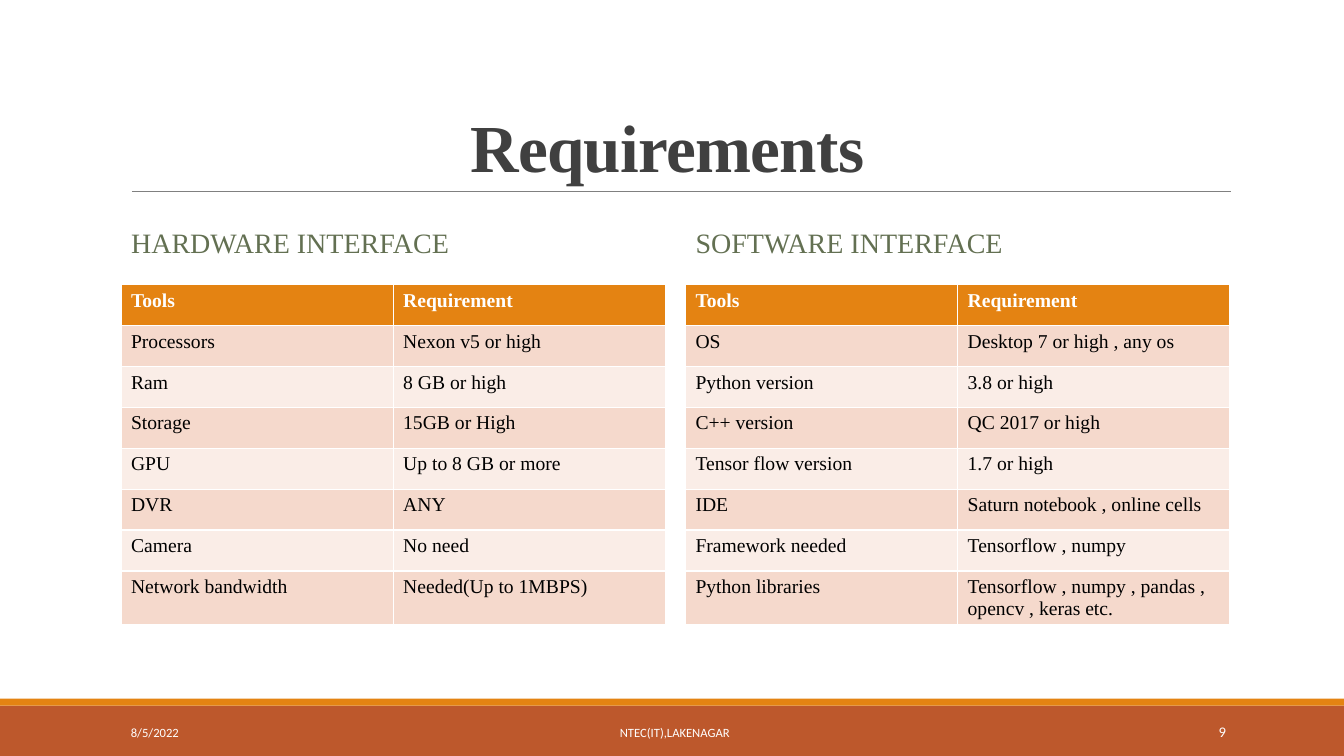
from dataclasses import dataclass

from lxml import etree
from pptx import Presentation
from pptx.dml.color import RGBColor
from pptx.enum.shapes import MSO_CONNECTOR, MSO_SHAPE
from pptx.enum.text import MSO_ANCHOR, MSO_AUTO_SIZE, PP_ALIGN
from pptx.oxml.ns import qn
from pptx.util import Pt


@dataclass(frozen=True)
class Theme:
    serif: str = "Times New Roman"
    sans: str = "Calibri"
    title: str = "404040"
    heading: str = "637052"
    orange: str = "E48312"
    rust: str = "BD582C"
    rule: str = "808080"
    white: str = "FFFFFF"
    black: str = "000000"
    bands: tuple = ("F5D9CC", "FAEDE7")
    title_size: float = 48
    heading_size: float = 20
    table_size: float = 14
    footer_size: float = 9
    number_size: float = 10.5


T = Theme()
WIDTH, HEIGHT = 960, 540
LEFT, COLUMN_W, COLUMN_STEP = 86.4, 388.8, 403.2
HEADING_TOP, HEADING_H = 145.2, 58.2
TABLE_TOP, ROW_H, LAST_ROW_H = 203.4, 29.2, 38.4
FOOTER_TOP, FOOTER_H = 508.5, 28.8

HARDWARE = [
    ("Tools", "Requirement"),
    ("Processors", "Nexon v5 or high"),
    ("Ram", "8 GB or high"),
    ("Storage", "15GB or High"),
    ("GPU", "Up to 8 GB or more"),
    ("DVR", "ANY"),
    ("Camera", "No need"),
    ("Network bandwidth", "Needed(Up to 1MBPS)"),
]
SOFTWARE = [
    ("Tools", "Requirement"),
    ("OS", "Desktop 7 or high , any os"),
    ("Python version", "3.8 or high"),
    ("C++ version", "QC 2017 or high"),
    ("Tensor flow version", "1.7 or high"),
    ("IDE", "Saturn notebook , online cells"),
    ("Framework needed", "Tensorflow , numpy"),
    ("Python libraries", "Tensorflow , numpy , pandas , opencv , keras etc."),
]


def rgb(color):
    return RGBColor.from_string(color)


def place(sp, left, top, width, height):
    sp.left, sp.top, sp.width, sp.height = Pt(left), Pt(top), Pt(width), Pt(height)


def write(tf, text, font, size, color, bold=False, align=PP_ALIGN.LEFT):
    tf.text = text
    p = tf.paragraphs[0]
    p.alignment = align
    p.font.name, p.font.size, p.font.bold = font, Pt(size), bold
    p.font.color.rgb = rgb(color)
    return p


def set_frame(tf, anchor):
    tf.word_wrap = True
    tf.auto_size = MSO_AUTO_SIZE.NONE
    tf.vertical_anchor = anchor


def add_band(s, top, height, color):
    sp = s.shapes.add_shape(MSO_SHAPE.RECTANGLE, 0, Pt(top), Pt(WIDTH), Pt(height))
    sp.shadow.inherit = False
    sp.fill.solid()
    sp.fill.fore_color.rgb = rgb(color)
    sp.line.fill.background()


def add_rule(s, left, right, y):
    line = s.shapes.add_connector(MSO_CONNECTOR.STRAIGHT, Pt(left), Pt(y), Pt(right), Pt(y))
    line.line.color.rgb = rgb(T.rule)
    line.line.width = Pt(0.5)
    etree.SubElement(line._element.spPr, qn("a:effectLst"))


def fill_title(sp, text):
    place(sp, LEFT, 22.3, 792, 114.5)
    set_frame(sp.text_frame, MSO_ANCHOR.BOTTOM)
    p = write(sp.text_frame, text, T.serif, T.title_size, T.title, True, PP_ALIGN.CENTER)
    p.line_spacing = 0.85
    p.runs[0].font._element.set("spc", "-50")


def fill_heading(sp, text, left):
    place(sp, left, HEADING_TOP, COLUMN_W, HEADING_H)
    set_frame(sp.text_frame, MSO_ANCHOR.MIDDLE)
    p = write(sp.text_frame, text, T.serif, T.heading_size, T.heading)
    p.line_spacing = 0.9
    p.space_before, p.space_after = Pt(12), Pt(2)


def add_requirements(s, rows, left):
    height = ROW_H * (len(rows) - 1) + LAST_ROW_H
    frame = s.shapes.add_table(len(rows), 2, Pt(left), Pt(TABLE_TOP), Pt(COLUMN_W), Pt(height))
    table = frame.table
    for i, values in enumerate(rows):
        header = i == 0
        table.rows[i].height = Pt(LAST_ROW_H if i == len(rows) - 1 else ROW_H)
        for cell, value in zip(table.rows[i].cells, values):
            cell.fill.solid()
            cell.fill.fore_color.rgb = rgb(T.orange if header else T.bands[(i - 1) % 2])
            write(cell.text_frame, value, T.serif, T.table_size,
                  T.white if header else T.black, header)


def add_footer(s, text, left, width, align, size=T.footer_size):
    sp = s.shapes.add_textbox(Pt(left), Pt(FOOTER_TOP), Pt(width), Pt(FOOTER_H))
    set_frame(sp.text_frame, MSO_ANCHOR.MIDDLE)
    write(sp.text_frame, text, T.sans, size, T.white, align=align)


def main():
    prs = Presentation()
    prs.slide_width, prs.slide_height = Pt(WIDTH), Pt(HEIGHT)
    s = prs.slides.add_slide(prs.slide_layouts.get_by_name("Comparison"))
    title, left_head, left_body, right_head, right_body = s.placeholders

    # Tables take the place of the two content placeholders
    for sp in (left_body, right_body):
        sp._element.getparent().remove(sp._element)

    # Footer bands and title
    add_band(s, 504, 36, T.rust)
    add_band(s, 499, 5, T.orange)
    add_rule(s, 94.3, 879, 136.8)
    fill_title(title, "Requirements ")

    # Two columns: heading above table
    columns = [(left_head, "HARDWARE INTERFACE", HARDWARE),
               (right_head, "SOFTWARE INTERFACE", SOFTWARE)]
    for i, (sp, heading, rows) in enumerate(columns):
        left = LEFT + i * COLUMN_STEP
        fill_heading(sp, heading, left)
        add_requirements(s, rows, left)

    # Footer text
    add_footer(s, "8/5/2022", LEFT, 194.4, PP_ALIGN.LEFT)
    add_footer(s, "NTEC(IT),LAKENAGAR", 292.3, 379.4, PP_ALIGN.CENTER)
    add_footer(s, "9", 779.8, 103, PP_ALIGN.RIGHT, T.number_size)

    prs.save("out.pptx")


if __name__ == "__main__":
    main()
